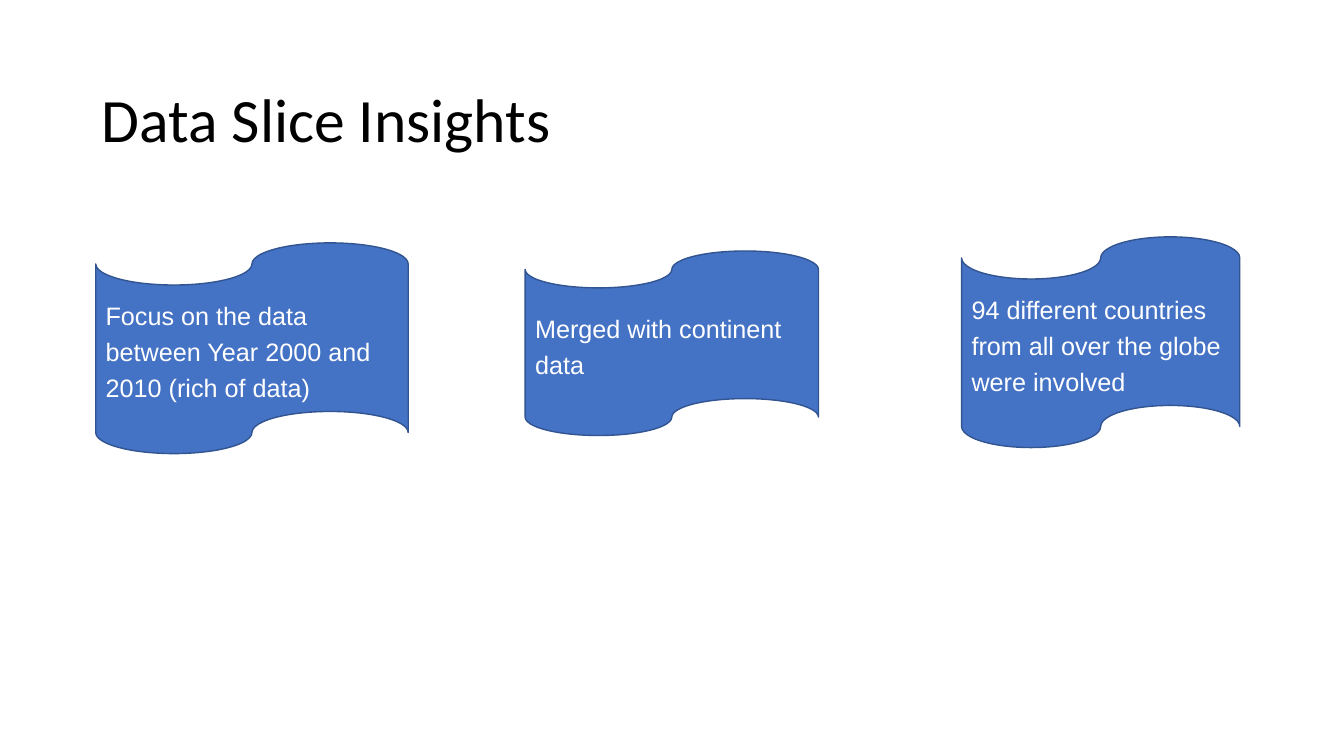
from dataclasses import dataclass

from pptx import Presentation
from pptx.dml.color import RGBColor
from pptx.enum.shapes import MSO_SHAPE
from pptx.enum.text import MSO_ANCHOR, PP_ALIGN
from pptx.util import Pt


@dataclass(frozen=True)
class Theme:
    """Colours, fonts and type sizes of the slide."""

    ink: str = "000000"
    tape_fill: str = "4472C4"
    tape_line: str = "325491"
    tape_ink: str = "FFFFFF"
    title_font: str = "Calibri"
    body_font: str = "Arial"
    title_size: float = 44
    body_size: float = 18


def write_text(frame, text, *, font, size, color, spacing=1.0, after=0, wrap=True):
    """Write one left-aligned paragraph into a text frame."""
    frame.word_wrap = wrap
    frame.vertical_anchor = MSO_ANCHOR.MIDDLE
    para = frame.paragraphs[0]
    para.alignment = PP_ALIGN.LEFT
    para.line_spacing = spacing
    para.space_after = Pt(after)
    span = para.add_run()
    span.text = text
    span.font.name = font
    span.font.size = Pt(size)
    span.font.color.rgb = RGBColor.from_string(color)


class SlideBuilder:
    """Draws themed elements on the current slide."""

    def __init__(self, page, theme):
        """Keep the slide and its theme."""
        self.page = page
        self.theme = theme

    def title(self, text, left, top, width, height):
        """Add the slide title."""
        box = self.page.shapes.add_textbox(Pt(left), Pt(top), Pt(width), Pt(height))
        frame = box.text_frame
        frame.margin_left = frame.margin_right = Pt(0)
        frame.margin_top = frame.margin_bottom = Pt(0)
        write_text(frame, text, font=self.theme.title_font,
                   size=self.theme.title_size, color=self.theme.ink, wrap=False)

    def tape(self, text, left, top, width, height):
        """Add a punched tape that carries one insight."""
        tape = self.page.shapes.add_shape(
            MSO_SHAPE.FLOWCHART_PUNCHED_TAPE, Pt(left), Pt(top), Pt(width), Pt(height))
        tape.shadow.inherit = False
        tape.fill.solid()
        tape.fill.fore_color.rgb = RGBColor.from_string(self.theme.tape_fill)
        tape.line.color.rgb = RGBColor.from_string(self.theme.tape_line)
        tape.line.width = Pt(1)
        write_text(tape.text_frame, text, font=self.theme.body_font,
                   size=self.theme.body_size, color=self.theme.tape_ink,
                   spacing=1.2, after=6)


def main():
    """Build and save the deck."""
    deck = Presentation()
    deck.slide_width, deck.slide_height = Pt(960), Pt(540)
    page = deck.slides.add_slide(deck.slide_layouts[6])
    builder = SlideBuilder(page, Theme())
    builder.title("Data Slice Insights", 72.7, 57.6, 329.8, 53.3)
    insights = [
        ("Merged with continent data", 375.1, 179.3, 209.5, 131.8),
        ("Focus on the data between Year 2000 and 2010 (rich of data)",
         68.4, 173.5, 223.2, 150.5),
        ("94 different countries from all over the globe were involved",
         686.9, 169.2, 198.7, 150.5),
    ]
    for insight in insights:
        builder.tape(*insight)
    deck.save("out.pptx")


if __name__ == "__main__":
    main()
